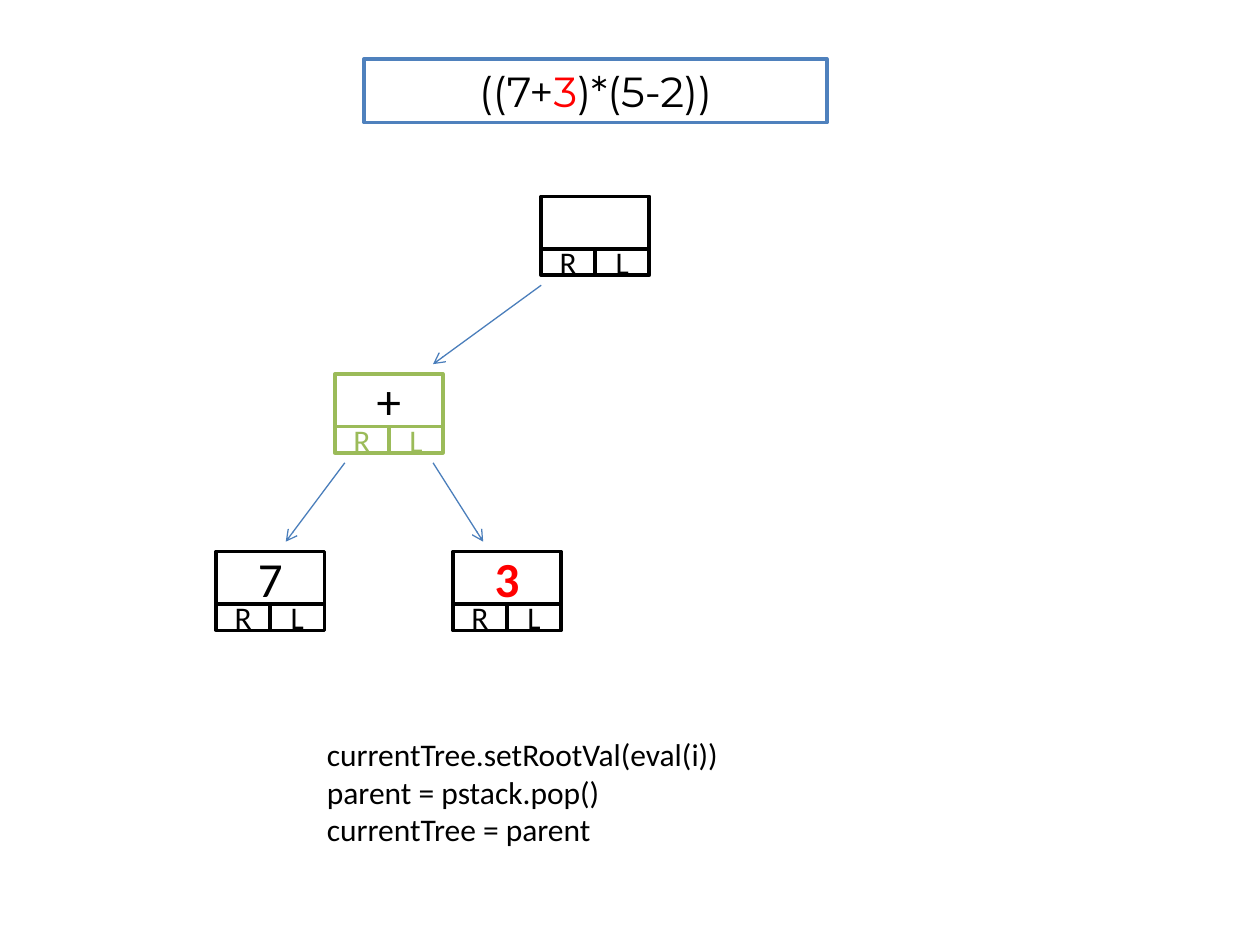
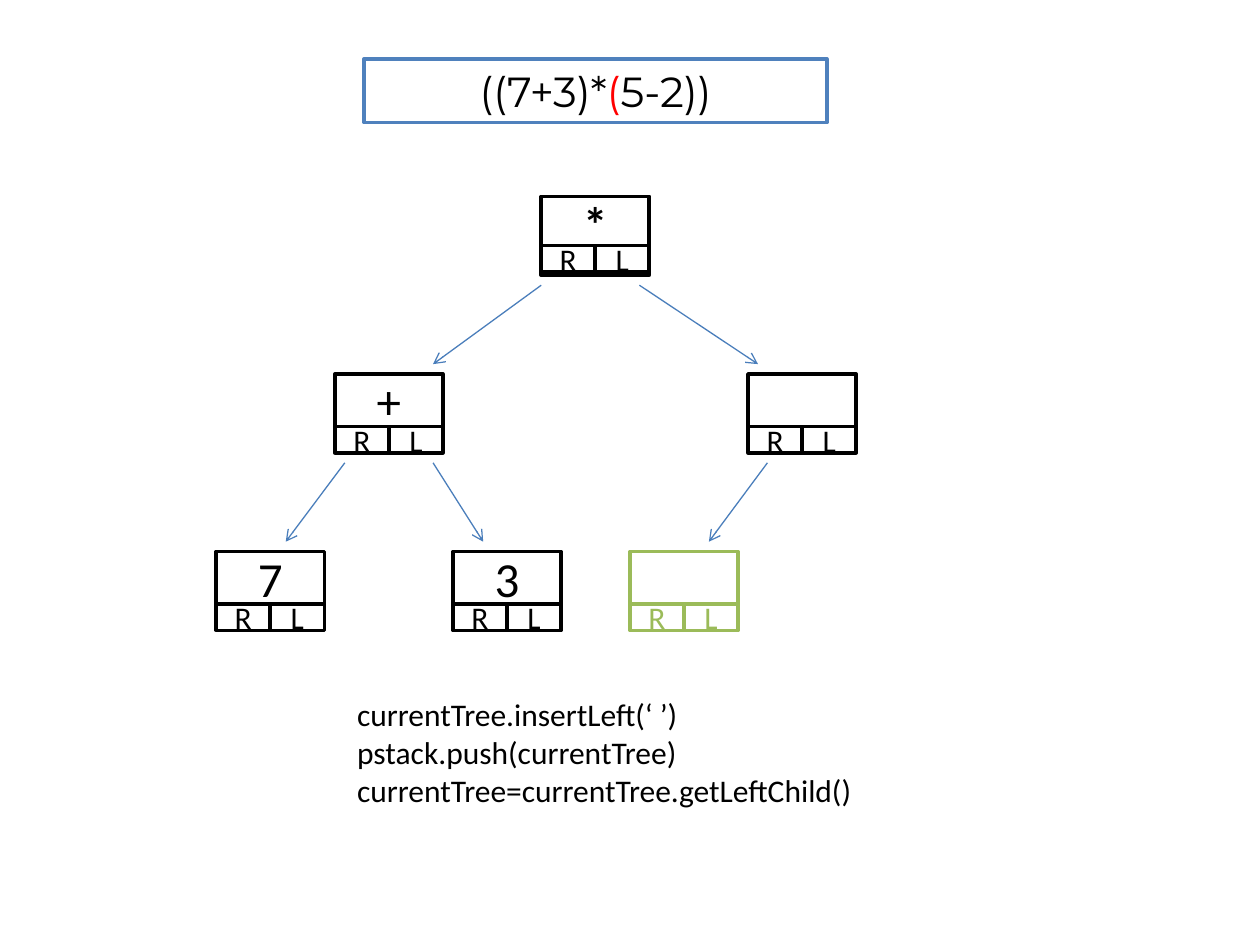
from dataclasses import dataclass

from lxml.etree import SubElement
from pptx import Presentation
from pptx.dml.color import RGBColor
from pptx.enum.shapes import MSO_CONNECTOR, MSO_SHAPE
from pptx.enum.text import MSO_ANCHOR, MSO_AUTO_SIZE, PP_ALIGN
from pptx.oxml.ns import qn
from pptx.util import Cm, Pt

BLACK = RGBColor(0x00, 0x00, 0x00)
WHITE = RGBColor(0xFF, 0xFF, 0xFF)
RED = RGBColor(0xFF, 0x00, 0x00)
GREEN = RGBColor(0x9B, 0xBB, 0x59)
FRAME_BLUE = RGBColor(0x4F, 0x81, 0xBD)
ARROW_BLUE = RGBColor(0x4A, 0x7E, 0xBB)

CODE_FONT = "Calibri"
EXPRESSION_FONT = "Montserrat"
TITLE_ONLY_LAYOUT = 5

# Lengths in centimetres
EXPRESSION_BOX = (7.34, 1.19, 9.33, 1.28)
NODE_WIDTH, VALUE_HEIGHT, CHILD_HEIGHT = 2.18, 1.06, 0.53
LEVEL_TOPS = [3.96 + 3.58 * level for level in range(3)]
ARROW_START, ARROW_END = 1.79, -0.2  # measured from the top of a node


@dataclass
class Node:
    left: float
    level: int
    value: str = ""
    color: RGBColor = BLACK
    value_color: RGBColor = BLACK
    bold: bool = False
    lift: float = 0

    @property
    def top(self):
        return LEVEL_TOPS[self.level]


def set_font(paragraph, name, size, color=BLACK, bold=False):
    font = paragraph.font
    font.name, font.size, font.bold = name, Pt(size), bold
    font.color.rgb = color


def frame(shape, color):
    shape.fill.solid()
    shape.fill.fore_color.rgb = WHITE
    shape.line.color.rgb = color
    shape.line.width = Pt(2)


def add_expression(slide, box, parts):
    """Fill the title with (text, color) parts inside a framed box."""
    title = slide.shapes.title
    title.left, title.top, title.width, title.height = map(Cm, box)
    frame(title, FRAME_BLUE)
    text_frame = title.text_frame
    text_frame.vertical_anchor = MSO_ANCHOR.TOP
    text_frame.auto_size = MSO_AUTO_SIZE.NONE
    paragraph = text_frame.paragraphs[0]
    paragraph.alignment = PP_ALIGN.CENTER
    set_font(paragraph, EXPRESSION_FONT, 24)
    for text, color in parts:
        run = paragraph.add_run()
        run.text = text
        run.font.color.rgb = color


def add_cell(group, box, line_color, text="", size=18, text_color=BLACK, bold=False):
    cell = group.shapes.add_shape(MSO_SHAPE.RECTANGLE, *map(Cm, box))
    cell.shadow.inherit = False
    frame(cell, line_color)
    if text:
        cell.text_frame.vertical_anchor = MSO_ANCHOR.MIDDLE
        paragraph = cell.text_frame.paragraphs[0]
        paragraph.text = text
        paragraph.alignment = PP_ALIGN.CENTER
        set_font(paragraph, CODE_FONT, size, text_color, bold)


def add_child_cells(group, node, top, labels):
    width = NODE_WIDTH / 2
    for column, label in enumerate(labels):
        box = (node.left + column * width, top, width, CHILD_HEIGHT)
        add_cell(group, box, node.color, label, text_color=node.color)


def add_node(slide, node):
    """Draw a value cell above its two child cells; lifted labels leave blank cells below."""
    group = slide.shapes.add_group_shape()
    add_cell(group, (node.left, node.top, NODE_WIDTH, VALUE_HEIGHT), node.color,
             node.value, 28, node.value_color, node.bold)
    child_top = node.top + VALUE_HEIGHT
    if node.lift:
        add_child_cells(group, node, child_top, ("", ""))
    add_child_cells(group, node, child_top - node.lift, "RL")


def add_arrow(slide, parent, start_offset, child, end_offset):
    """Point from below a parent to above a child, offsets taken from their left sides."""
    points = (parent.left + start_offset, parent.top + ARROW_START,
              child.left + end_offset, child.top + ARROW_END)
    arrow = slide.shapes.add_connector(MSO_CONNECTOR.STRAIGHT, *map(Cm, points))
    arrow.line.color.rgb = ARROW_BLUE
    arrow.line.width = Pt(0.75)
    properties = arrow.element.spPr
    SubElement(properties.find(qn("a:ln")), qn("a:tailEnd"), type="arrow")
    SubElement(properties, qn("a:effectLst"))


def add_code(slide, box, lines):
    text_box = slide.shapes.add_textbox(*map(Cm, box))
    text_box.text_frame.word_wrap = True
    text_box.text_frame.auto_size = MSO_AUTO_SIZE.SHAPE_TO_FIT_TEXT
    paragraph = text_box.text_frame.paragraphs[0]
    paragraph.text = "\n".join(lines)
    set_font(paragraph, CODE_FONT, 18)


def add_tree_slide(presentation, expression, nodes, arrows, code_box, code):
    slide = presentation.slides.add_slide(presentation.slide_layouts[TITLE_ONLY_LAYOUT])
    add_expression(slide, EXPRESSION_BOX, expression)
    for parent, start_offset, child, end_offset in arrows:
        add_arrow(slide, nodes[parent], start_offset, nodes[child], end_offset)
    for node in nodes.values():
        add_node(slide, node)
    add_code(slide, code_box, code)


def main():
    presentation = Presentation()
    presentation.slide_width, presentation.slide_height = Cm(25.4), Cm(19.05)

    sum_arrows = [("root", 0, "sum", 1.98),
                  ("sum", 0.2, "seven", 1.4),
                  ("sum", 1.98, "three", 0.61)]
    difference_arrows = [("root", 1.98, "difference", 0.2),
                         ("difference", 0.39, "operand", 1.59)]
    seven = Node(4.36, 2, "7")

    add_tree_slide(
        presentation,
        [("((7+", BLACK), ("3", RED), (")*(5-2))", BLACK)],
        {"root": Node(10.91, 0),
         "sum": Node(6.75, 1, "+", color=GREEN),
         "seven": seven,
         "three": Node(9.13, 2, "3", value_color=RED, bold=True)},
        sum_arrows,
        (6.34, 14.69, 8.51, 2.54),
        ["currentTree.setRootVal(eval(i))",
         "parent = pstack.pop()",
         "currentTree = parent"])

    add_tree_slide(
        presentation,
        [("((7+3)*", BLACK), ("(", RED), ("5-2))", BLACK)],
        {"root": Node(10.91, 0, "*", bold=True, lift=0.07),
         "sum": Node(6.75, 1, "+"),
         "seven": seven,
         "three": Node(9.13, 2, "3"),
         "difference": Node(15.08, 1),
         "operand": Node(12.7, 2, color=GREEN)},
        sum_arrows + difference_arrows,
        (6.95, 13.89, 10.72, 2.54),
        ["currentTree.insertLeft(‘ ’)",
         "pstack.push(currentTree)",
         "currentTree=currentTree.getLeftChild()"])

    presentation.save("out.pptx")


if __name__ == "__main__":
    main()
